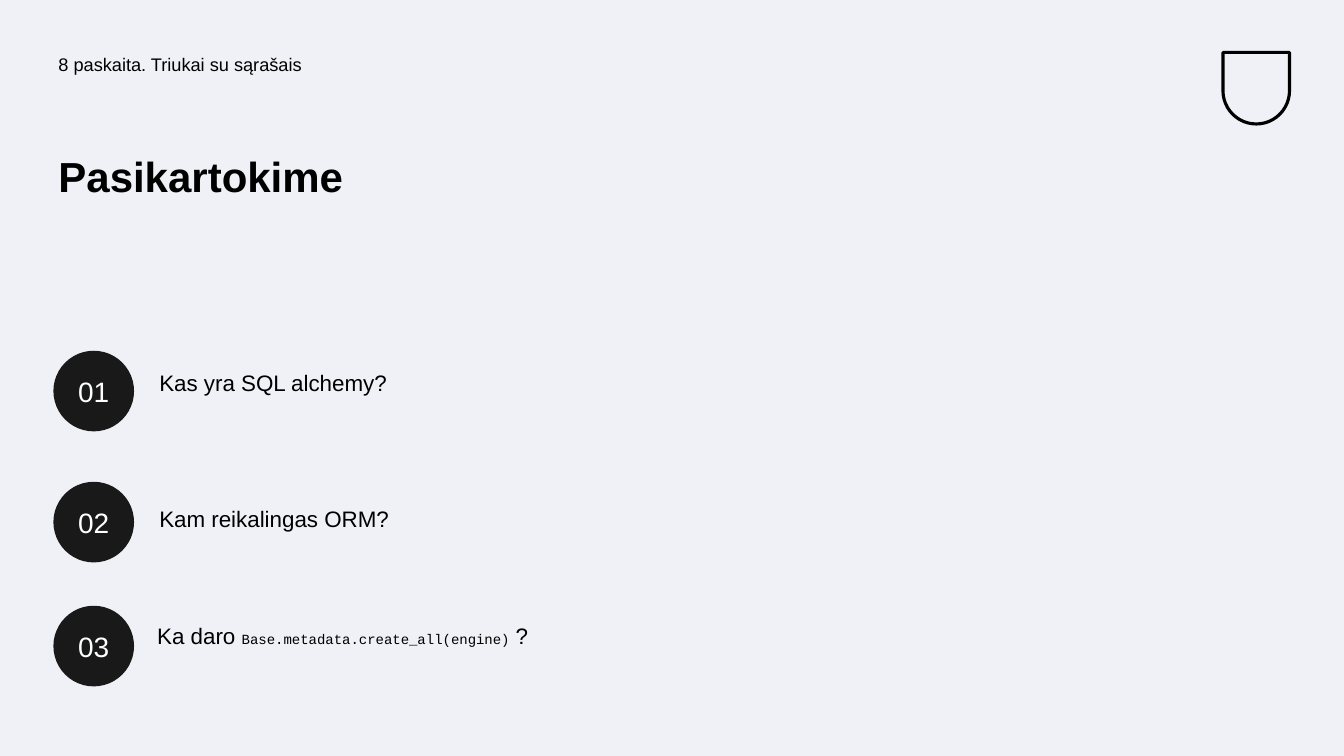
from pptx import Presentation
from pptx import util as u
from pptx.dml.color import RGBColor
from pptx.enum import shapes, text

INK = {"back": "F0F1F6", "black": "000000", "disc": "191919", "white": "FEFFFF"}
SANS, MONO = "Arial", "Courier New"
ITEMS = [
    (3.48, 1.53, 3.64, [("Kas yra SQL alchemy?", {})]),
    (4.78, 1.53, 4.99, [("Kam reikalingas ORM?", {})]),
    (6.01, 1.51, 6.15, [
        ("Ka daro ", {}),
        ("Base.metadata.create_all(engine)", {"size": 10, "font": MONO}),
        (" ?", {}),
    ]),
]


def tint(name):
    return RGBColor.from_string(INK[name])


def write(frame, words, size=16, font=SANS, color="black", bold=False):
    run = frame.paragraphs[0].add_run()
    run.text = words
    run.font.size = u.Pt(size)
    run.font.name = font
    run.font.bold = bold
    run.font.color.rgb = tint(color)


def setup(frame):
    frame.word_wrap = True
    frame.margin_left = frame.margin_right = u.Inches(0.05)
    frame.margin_top = frame.margin_bottom = u.Inches(0.05)
    return frame


def label(slide, box, runs):
    frame = setup(slide.shapes.add_textbox(*map(u.Inches, box)).text_frame)
    frame.paragraphs[0].line_spacing = 0.9
    for words, style in runs:
        write(frame, words, **style)


def badge(slide, box, number):
    disc = slide.shapes.add_shape(shapes.MSO_SHAPE.OVAL, *map(u.Inches, box))
    disc.shadow.inherit = False
    disc.fill.solid()
    disc.fill.fore_color.rgb = tint("disc")
    disc.line.fill.background()
    frame = setup(disc.text_frame)
    frame.vertical_anchor = text.MSO_ANCHOR.MIDDLE
    frame.paragraphs[0].alignment = text.PP_ALIGN.CENTER
    write(frame, f"{number:02}", size=20, color="white")


def shield(slide, box):
    mark = slide.shapes.add_shape(
        shapes.MSO_SHAPE.ROUND_2_SAME_RECTANGLE, *map(u.Inches, box))
    mark.adjustments[0] = 0
    mark.adjustments[1] = 0.5
    mark.shadow.inherit = False
    mark.fill.background()
    mark.line.color.rgb = tint("black")
    mark.line.width = u.Pt(2.25)


def header(slide, left, top):
    label(slide, (left, top, 6.14, 0.49),
          [("8 paskaita. Triukai su sąrašais", {"size": 13})])
    label(slide, (left, top + 1, 5.63, 1.49),
          [("Pasikartokime", {"size": 30, "bold": True})])
    shield(slide, (left + 11.6, top + 0.02, 0.66, 0.71))


def agenda(slide, left):
    for number, (top, side, head, runs) in enumerate(ITEMS, 1):
        badge(slide, (left, top, 0.8, 0.8), number)
        label(slide, (side, head, 4.63, 0.58), runs)


def main():
    deck = Presentation()
    deck.slide_width, deck.slide_height = u.Inches(13.33), u.Inches(7.5)
    slide = deck.slides.add_slide(deck.slide_layouts[6])
    slide.background.fill.solid()
    slide.background.fill.fore_color.rgb = tint("back")
    header(slide, 0.53, 0.5)
    agenda(slide, 0.53)
    deck.save("out.pptx")


if __name__ == "__main__":
    main()
